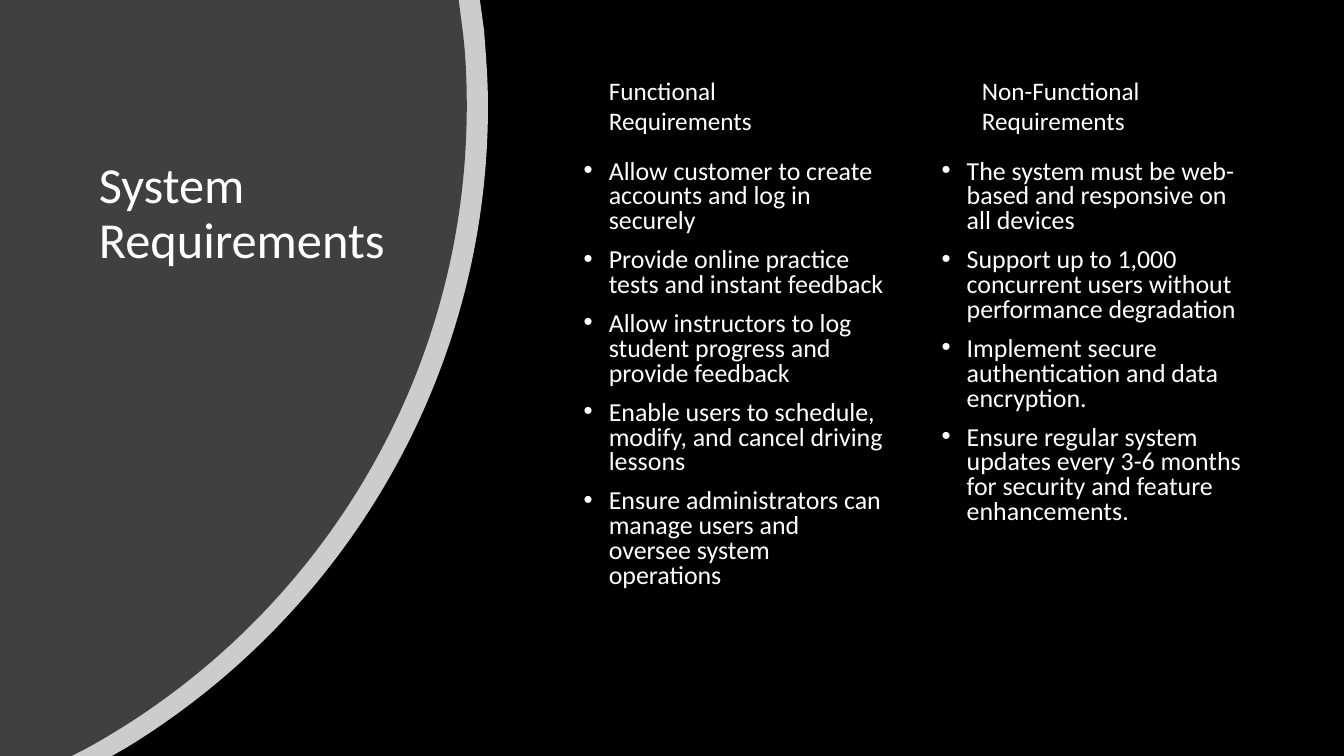
from dataclasses import dataclass

from lxml.etree import SubElement
from pptx import Presentation
from pptx.dml.color import RGBColor
from pptx.enum.text import MSO_ANCHOR, MSO_AUTO_SIZE, PP_ALIGN
from pptx.oxml.ns import qn
from pptx.shapes.autoshape import Shape
from pptx.slide import Slide
from pptx.text.text import TextFrame, _Paragraph as Paragraph
from pptx.util import Inches, Pt

Point = tuple[float, float]


@dataclass(frozen=True)
class Theme:
    font: str = "Calibri"
    background: RGBColor = RGBColor(0x00, 0x00, 0x00)
    text: RGBColor = RGBColor(0xFF, 0xFF, 0xFF)
    rim: RGBColor = RGBColor(0xFF, 0xFF, 0xFF)
    panel: RGBColor = RGBColor(0x40, 0x40, 0x40)
    title_size: float = 36
    heading_size: float = 18
    bullet_size: float = 18.5


@dataclass(frozen=True)
class Panel:
    """A left panel whose right edge is two Bezier curves, three points each."""
    top_right: Point
    curve_start: Point
    upper_curve: tuple[Point, Point, Point]
    lower_curve: tuple[Point, Point, Point]
    bottom_right: Point
    color: RGBColor
    opacity: int = 100


@dataclass(frozen=True)
class RequirementColumn:
    heading_left: float
    heading_lines: tuple[str, ...]
    bullets_left: float
    bullets: tuple[str, ...]


THEME = Theme()
SLIDE_WIDTH, SLIDE_HEIGHT = 13.33, 7.5
BODY_TOP = 1.54

RIM = Panel(
    top_right=(4.76, 0), curve_start=(4.8, 0.29),
    upper_curve=((4.82, 0.54), (4.84, 0.8), (4.84, 1.05)),
    lower_curve=((4.84, 3.75), (3.4, 6.11), (1.25, 7.42)),
    bottom_right=(1.11, SLIDE_HEIGHT), color=THEME.rim, opacity=80)
TITLE_PANEL = Panel(
    top_right=(4.55, 0), curve_start=(4.59, 0.31),
    upper_curve=((4.62, 0.55), (4.63, 0.8), (4.63, 1.05)),
    lower_curve=((4.63, 3.81), (3.09, 6.21), (0.83, 7.44)),
    bottom_right=(0.71, SLIDE_HEIGHT), color=THEME.panel)

COLUMNS = (
    RequirementColumn(5.94, ("Functional Requirements",), 5.69, (
        "Allow customer to create accounts and log in securely",
        "Provide online practice tests and instant feedback",
        "Allow instructors to log student progress and provide feedback",
        "Enable users to schedule, modify, and cancel driving lessons",
        "Ensure administrators can manage users and oversee system operations",
    )),
    RequirementColumn(9.64, ("Non-Functional", "Requirements"), 9.24, (
        "The system must be web-based and responsive on all devices",
        "Support up to 1,000 concurrent users without performance degradation",
        "Implement secure authentication and data encryption.",
        "Ensure regular system updates every 3-6 months for security and "
        "feature enhancements.",
    )),
)


def bend_lines(shape: Shape, first: int) -> None:
    """Turn three successive line segments into one Bezier curve."""
    segments = list(shape.element.iter(qn("a:lnTo")))[first:first + 3]
    outline = segments[0].getparent()
    curve = SubElement(outline, qn("a:cubicBezTo"))
    segments[0].addprevious(curve)
    for segment in segments:
        curve.append(segment[0])
        outline.remove(segment)


def draw_panel(slide: Slide, panel: Panel) -> Shape:
    outline = (panel.top_right, panel.curve_start, *panel.upper_curve,
               *panel.lower_curve, panel.bottom_right, (0, SLIDE_HEIGHT))
    builder = slide.shapes.build_freeform(0, 0)
    builder.add_line_segments([(Inches(x), Inches(y)) for x, y in outline], close=True)
    shape = builder.convert_to_shape()
    for _ in (panel.upper_curve, panel.lower_curve):
        bend_lines(shape, first=2)
    shape.shadow.inherit = False
    shape.line.fill.background()
    shape.fill.solid()
    shape.fill.fore_color.rgb = panel.color
    if panel.opacity < 100:
        color = shape.element.spPr.find(qn("a:solidFill"))[0]
        SubElement(color, qn("a:alpha"), val=str(panel.opacity * 1000))
    return shape


def add_run(paragraph: Paragraph, text: str, size: float) -> None:
    run = paragraph.add_run()
    run.text = text
    run.font.name = THEME.font
    run.font.size = Pt(size)
    run.font.color.rgb = THEME.text


def write_lines(frame: TextFrame, lines: tuple[str, ...], size: float) -> None:
    """Write each line as a left-aligned paragraph in a wrapping frame."""
    frame.word_wrap = True
    frame.vertical_anchor = MSO_ANCHOR.TOP
    for index, line in enumerate(lines):
        paragraph = frame.add_paragraph() if index else frame.paragraphs[0]
        paragraph.alignment = PP_ALIGN.LEFT
        add_run(paragraph, line, size)


def add_bullet(paragraph: Paragraph) -> None:
    paragraph.line_spacing = 0.8
    paragraph.space_before = Pt(10)
    properties = paragraph._p.get_or_add_pPr()
    properties.set("marL", str(Inches(0.25)))
    properties.set("indent", str(Inches(-0.25)))
    SubElement(properties, qn("a:buFont"), typeface="Arial")
    SubElement(properties, qn("a:buChar"), char="•")


def draw_column(slide: Slide, column: RequirementColumn) -> None:
    bullets = slide.shapes.add_textbox(
        Inches(column.bullets_left), Inches(BODY_TOP), Inches(3.2), Inches(4.77))
    write_lines(bullets.text_frame, column.bullets, THEME.bullet_size)
    for paragraph in bullets.text_frame.paragraphs:
        add_bullet(paragraph)

    heading = slide.shapes.add_textbox(
        Inches(column.heading_left), Inches(0.7), Inches(2.19), Inches(0.71))
    write_lines(heading.text_frame, column.heading_lines, THEME.heading_size)
    heading.text_frame.auto_size = MSO_AUTO_SIZE.SHAPE_TO_FIT_TEXT


def place_title(slide: Slide, backdrop: Shape) -> None:
    """Format the title and bring it in front of the backdrop."""
    title = slide.shapes.title
    title.left, title.top = Inches(0.88), Inches(BODY_TOP)
    title.width, title.height = Inches(3.14), Inches(2.36)
    write_lines(title.text_frame, ("System Requirements",), THEME.title_size)
    title.text_frame.auto_size = MSO_AUTO_SIZE.NONE
    title.text_frame.paragraphs[0].line_spacing = 0.9
    backdrop.element.addnext(title.element)


def main() -> None:
    presentation = Presentation()
    presentation.slide_width = Inches(SLIDE_WIDTH)
    presentation.slide_height = Inches(SLIDE_HEIGHT)
    title_only = presentation.slide_layouts.get_by_name("Title Only")
    slide = presentation.slides.add_slide(title_only)
    slide.background.fill.solid()
    slide.background.fill.fore_color.rgb = THEME.background

    draw_panel(slide, RIM)
    place_title(slide, draw_panel(slide, TITLE_PANEL))
    for column in COLUMNS:
        draw_column(slide, column)
    presentation.save("out.pptx")


if __name__ == "__main__":
    main()
